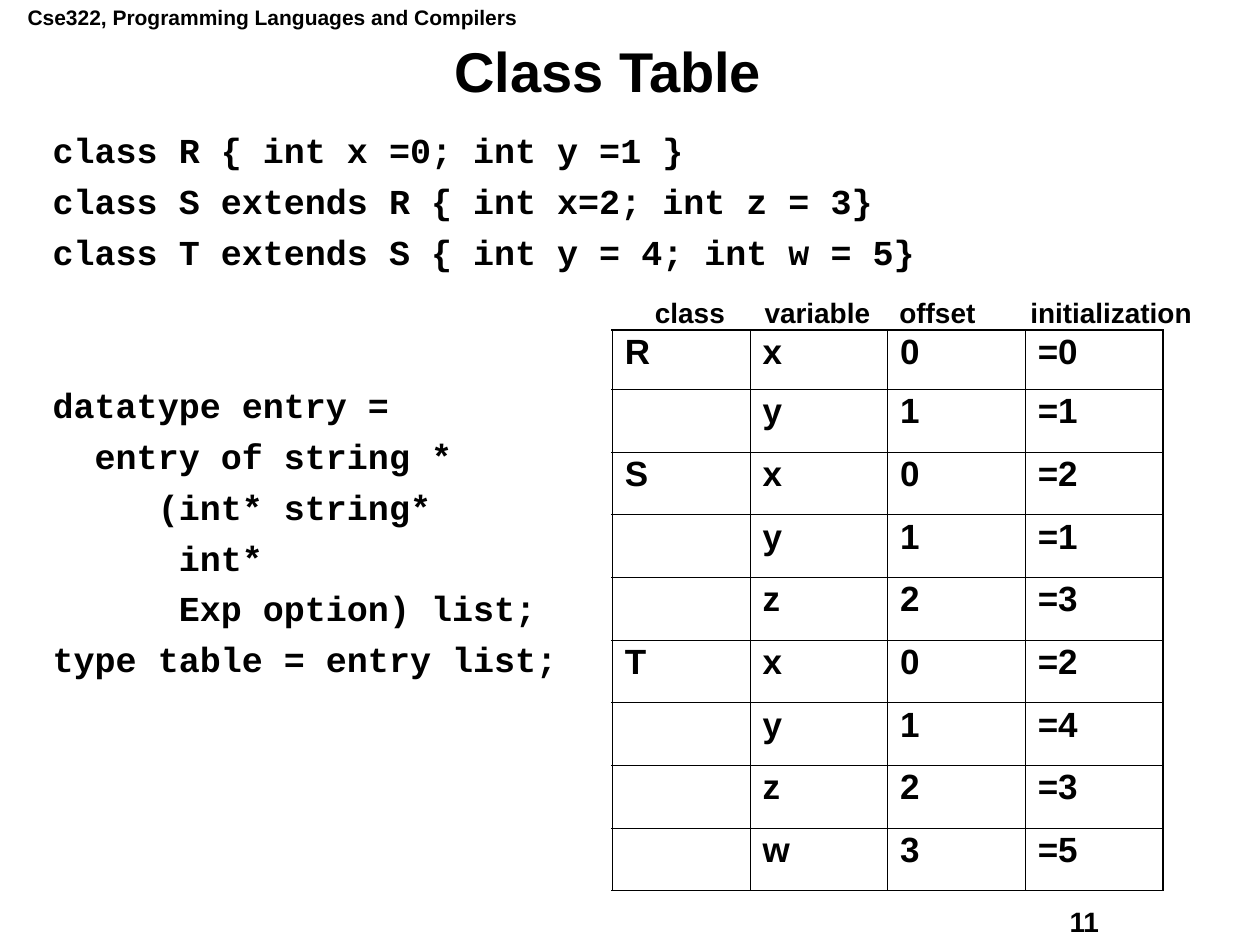
from dataclasses import dataclass

from lxml import etree
from pptx import Presentation
from pptx.dml.color import RGBColor
from pptx.enum.text import MSO_ANCHOR, PP_ALIGN
from pptx.oxml.ns import qn
from pptx.util import Inches, Pt

LEFT, CENTER = PP_ALIGN.LEFT, PP_ALIGN.CENTER
TOP, MIDDLE = MSO_ANCHOR.TOP, MSO_ANCHOR.MIDDLE


@dataclass(frozen=True)
class Theme:
    ink: str = "000000"
    paper: str = "FFFFFF"
    sans: str = "Arial"
    mono: str = "Courier New"
    small: float = 12
    label: float = 16
    body: float = 20
    title: float = 32
    gap: float = 7.5
    leading: float = 0.9
    thin: float = 0.45
    thick: float = 1.08


T = Theme()

CLASSES = [
    "class R { int x =0; int y =1 }",
    "class S extends R { int x=2; int z = 3}",
    "class T extends S { int y = 4; int w = 5}",
]
DATATYPE = [
    "datatype entry =",
    "  entry of string *",
    "     (int* string*",
    "      int*",
    "      Exp option) list;",
    "type table = entry list;",
]
HEADINGS = ["class", "variable", "offset", "initialization"]
HEADING_TABS = [0.87, 1.94, 2.98]
ENTRIES = {
    "R": [("x", "0", "=0"), ("y", "1", "=1")],
    "S": [("x", "0", "=2"), ("y", "1", "=1"), ("z", "2", "=3")],
    "T": [("x", "0", "=2"), ("y", "1", "=4"), ("z", "2", "=3"), ("w", "3", "=5")],
}


def add_run(p, text, size, font=T.sans):
    r = p.add_run()
    r.text = text
    r.font.name, r.font.size, r.font.bold = font, Pt(size), True
    r.font.color.rgb = RGBColor.from_string(T.ink)


def add_text(s, box, lines, size, font=T.sans, align=LEFT, anchor=TOP,
             leading=None, hanging=0, tabs=()):
    tf = s.shapes.add_textbox(*map(Inches, box)).text_frame
    tf.word_wrap = True
    tf.margin_right = 0 if align == LEFT else Inches(0.1)
    tf.vertical_anchor = anchor
    for i, line in enumerate(lines):
        p = tf.paragraphs[0] if i == 0 else tf.add_paragraph()
        p.alignment = align
        p_pr = p._p.get_or_add_pPr()
        if hanging:
            p_pr.set("marL", str(Inches(hanging)))
            p_pr.set("indent", str(-Inches(hanging)))
        if tabs:
            tab_list = etree.SubElement(p_pr, qn("a:tabLst"))
            for pos in tabs:
                etree.SubElement(tab_list, qn("a:tab"), pos=str(Inches(pos)), algn="l")
        if leading:
            p.line_spacing = leading
        if i:
            p.space_before = Pt(T.gap)
        add_run(p, line, size, font)


def add_code(s, box, lines):
    add_text(s, box, lines, T.body, T.mono, leading=T.leading, hanging=0.31)


def set_borders(cell, widths):
    tc_pr = cell._tc.get_or_add_tcPr()
    for i, (side, width) in enumerate(widths.items()):
        ln = etree.Element(qn(f"a:ln{side}"), w=str(Pt(width)))
        fill = etree.SubElement(ln, qn("a:solidFill"))
        etree.SubElement(fill, qn("a:srgbClr"), val=T.ink)
        tc_pr.insert(i, ln)


def add_class_table(s, box, rows, first_height):
    n_rows, n_cols = len(rows), len(rows[0])
    table = s.shapes.add_table(n_rows, n_cols, *map(Inches, box)).table
    table.first_row = table.horz_banding = False
    for col in table.columns:
        col.width = Inches(box[2] / n_cols)
    for i, row in enumerate(table.rows):
        rest = (box[3] - first_height) / (n_rows - 1)
        row.height = Inches(rest if i else first_height)
    for i, values in enumerate(rows):
        for j, value in enumerate(values):
            cell = table.cell(i, j)
            cell.fill.background()
            outer = {"L": j == 0, "R": j == n_cols - 1,
                     "T": i == 0, "B": i == n_rows - 1}
            set_borders(cell, {side: T.thick if edge else T.thin
                               for side, edge in outer.items()})
            if value:
                p = cell.text_frame.paragraphs[0]
                p.line_spacing = T.leading
                add_run(p, value, T.body)


def main():
    prs = Presentation()
    prs.slide_width, prs.slide_height = Inches(10), Inches(7.5)
    s = prs.slides.add_slide(prs.slide_layouts[6])
    s.background.fill.solid()
    s.background.fill.fore_color.rgb = RGBColor.from_string(T.paper)

    # Course name, page number and title
    add_text(s, (0.12, -0.01, 4.09, 0.3),
             ["Cse322, Programming Languages and Compilers"], T.small)
    add_text(s, (8.39, 7.13, 1.27, 0.36), ["11"], T.label)
    add_text(s, (0.31, 0.31, 9.03, 0.56), ["Class Table"], T.title,
             align=CENTER, anchor=MIDDLE, leading=T.leading)

    # Class declarations and the type of the table
    add_code(s, (0.32, 1.01, 8.8, 1.25), CLASSES)
    add_code(s, (0.32, 3.03, 4.5, 2.5), DATATYPE)

    # Class table: the class name stands only on its first row
    rows = [(name if k == 0 else "", *entry)
            for name, entries in ENTRIES.items()
            for k, entry in enumerate(entries)]
    add_class_table(s, (4.86, 2.62, 4.37, 4.45), rows, 0.47)
    add_text(s, (5.1, 2.3, 4.46, 0.37), ["\t".join(HEADINGS)], T.label,
             tabs=HEADING_TABS)

    prs.save("out.pptx")


if __name__ == "__main__":
    main()
